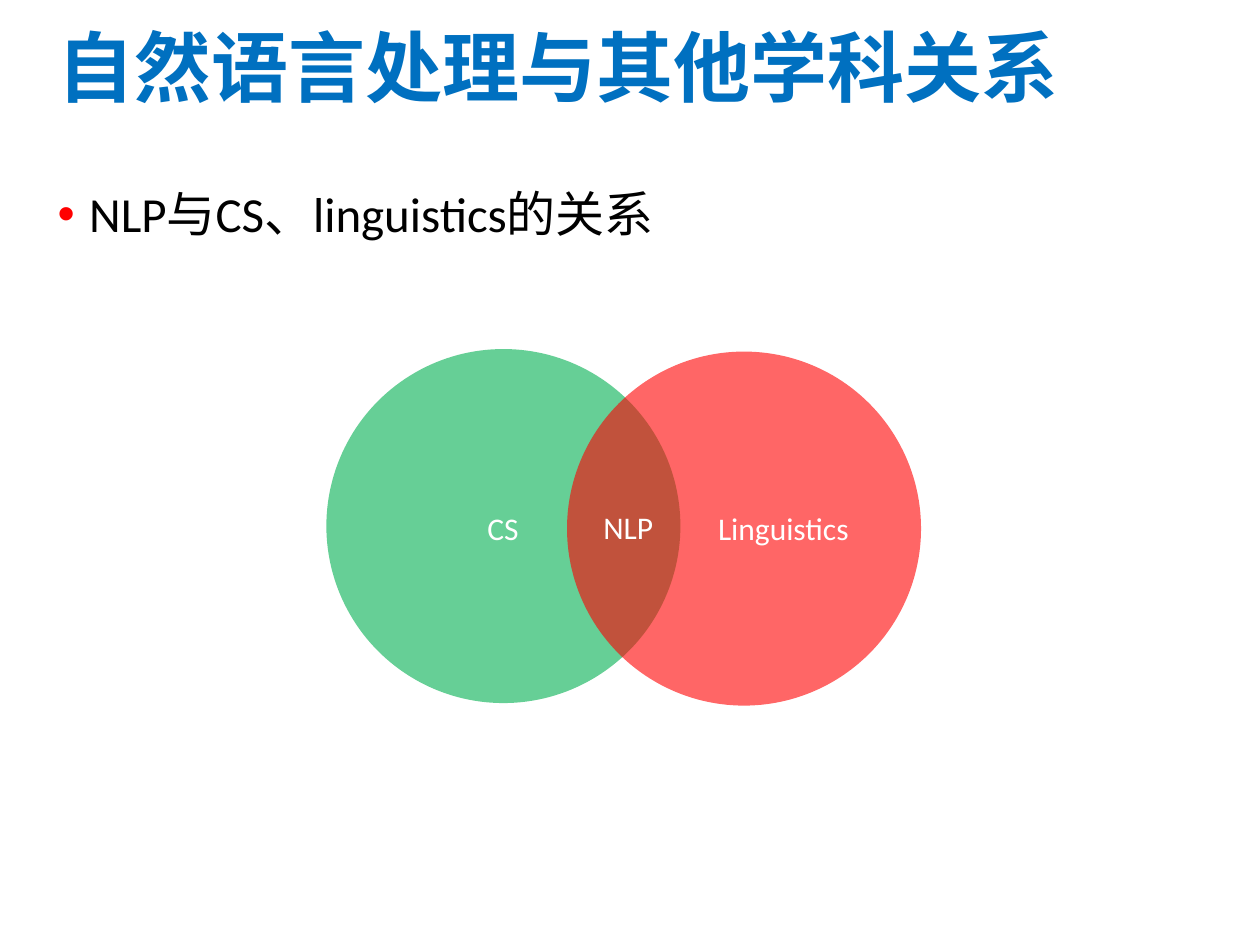
from lxml.etree import SubElement
from pptx import Presentation
from pptx.dml.color import RGBColor
from pptx.enum.shapes import MSO_SHAPE as Shape
from pptx.enum.text import MSO_ANCHOR as Anchor, MSO_AUTO_SIZE as AutoSize, PP_ALIGN as Align
from pptx.oxml.ns import qn
from pptx.util import Inches, Pt

COLORS = {"title": "0070C0", "body": "000000", "bullet": "FF0000",
          "cs": "00B050", "linguistics": "FF0000", "label": "FFFFFF"}
FONT = "Calibri"
OPACITY = "60000"  # thousandths of a percent

deck = Presentation()
deck.slide_width, deck.slide_height = Inches(10), Inches(7.5)
page = deck.slides.add_slide(deck.slide_layouts[5])
LEFT, WIDTH = Inches(0.36), Inches(9.31)
DIAMETER = Inches(2.81)


def write(box, text, size, color, bold=False, align=Align.LEFT, anchor=Anchor.TOP,
          wrap=True, line_spacing=1.0, bullet=None):
    """Fill a box with one paragraph; bullet is the colour of its marker."""
    frame = box.text_frame
    frame.word_wrap = wrap
    frame.auto_size = AutoSize.NONE if wrap else AutoSize.SHAPE_TO_FIT_TEXT
    frame.vertical_anchor = anchor
    para = frame.paragraphs[0]
    para.alignment, para.line_spacing = align, line_spacing
    if bullet:
        props = para._p.get_or_add_pPr()
        props.set("marL", str(Inches(0.25)))
        props.set("indent", str(-Inches(0.25)))
        SubElement(SubElement(props, qn("a:buClr")), qn("a:srgbClr"), val=bullet)
        SubElement(props, qn("a:buFont"), typeface="Arial")
        SubElement(props, qn("a:buChar"), char="•")
    span = para.add_run()
    span.text = text
    font = span.font
    font.name, font.size, font.bold = FONT, Pt(size), bold
    font.color.rgb = RGBColor.from_string(color)


title = page.shapes.title
title.left, title.top, title.width, title.height = LEFT, Inches(0.17), WIDTH, Inches(0.8)
write(title, "自然语言处理与其他学科关系", 44, COLORS["title"], bold=True,
      anchor=Anchor.MIDDLE, line_spacing=0.9)

body = page.shapes.add_textbox(LEFT, Inches(1.46), WIDTH, Inches(5.57))
write(body, "NLP与CS、linguistics的关系", 28, COLORS["body"],
      line_spacing=0.9, bullet=COLORS["bullet"])

for field, left, top in [("cs", 2.59, 2.77), ("linguistics", 4.5, 2.79)]:
    circle = page.shapes.add_shape(Shape.OVAL, Inches(left), Inches(top), DIAMETER, DIAMETER)
    circle.shadow.inherit = False
    circle.line.fill.background()
    circle.fill.solid()
    circle.fill.fore_color.rgb = RGBColor.from_string(COLORS[field])
    tint = circle.fill._xPr.find(qn("a:solidFill")).find(qn("a:srgbClr"))
    SubElement(tint, qn("a:alpha"), val=OPACITY)

for text, left, top, width in [("CS", 3.77, 3.99, 0.45), ("NLP", 4.69, 3.98, 0.6),
                               ("Linguistics", 5.6, 3.99, 1.25)]:
    label = page.shapes.add_textbox(Inches(left), Inches(top), Inches(width), Inches(0.4))
    write(label, text, 18, COLORS["label"], wrap=False)

deck.save("out.pptx")
